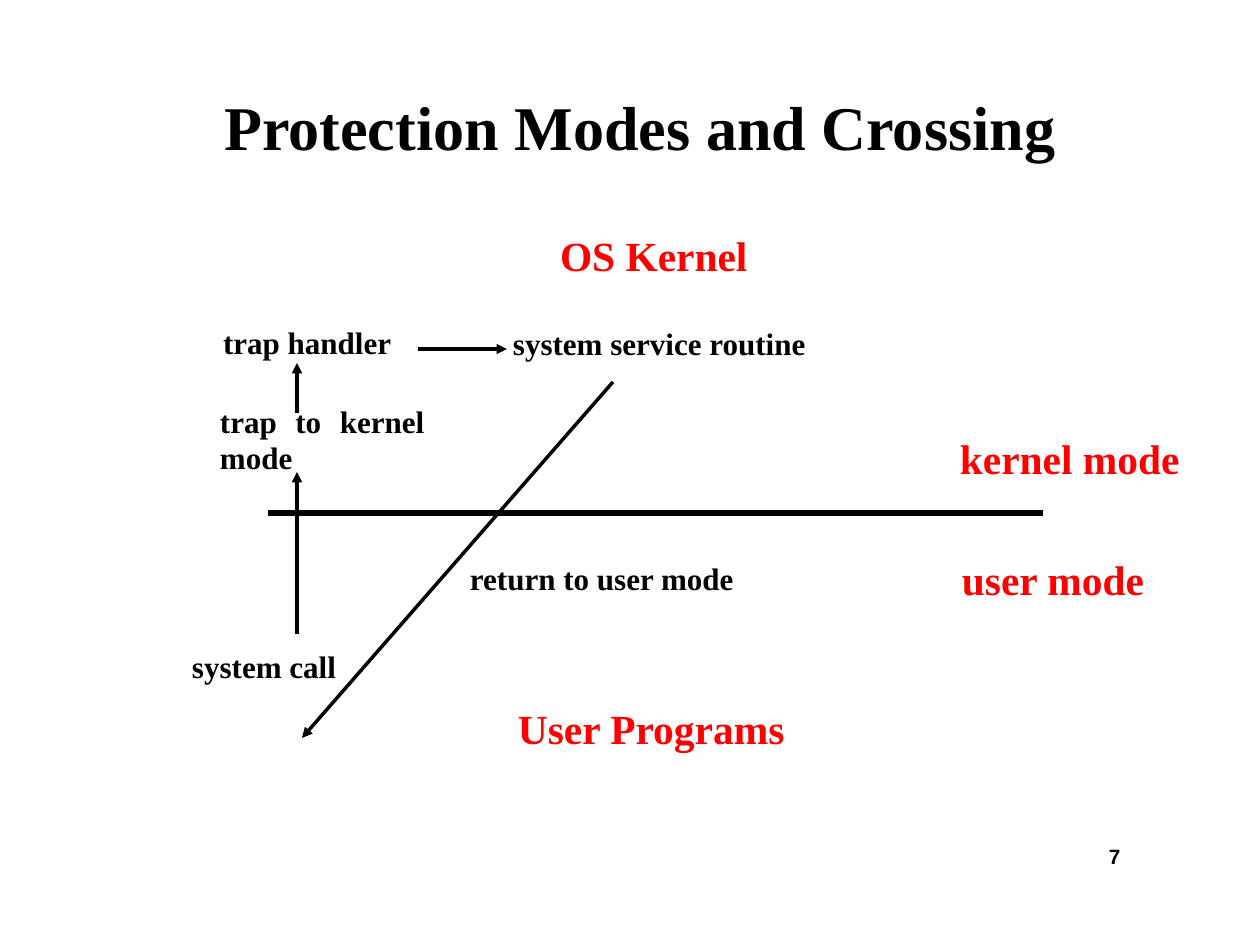
from dataclasses import dataclass

from lxml.etree import SubElement
from pptx import Presentation
from pptx.dml.color import RGBColor
from pptx.enum.shapes import MSO_CONNECTOR
from pptx.enum.text import MSO_ANCHOR, MSO_AUTO_SIZE, PP_ALIGN
from pptx.oxml.ns import qn
from pptx.util import Pt

SLIDE_W, SLIDE_H = 1260, 945
PX = Pt(730) / SLIDE_W  # EMU per px: the slide is 730 pt wide


@dataclass(frozen=True)
class Theme:
    ink: RGBColor = RGBColor(0, 0, 0)
    accent: RGBColor = RGBColor(255, 0, 0)
    serif: str = "Times New Roman"
    sans: str = "Arial"
    title: int = 36
    zone: int = 24
    step: int = 18
    number: int = 12
    arrow: int = 2
    boundary: int = 4


THEME = Theme()
LEADING = {THEME.title: 43, THEME.zone: 28, THEME.step: 21, THEME.number: 14}

# text, (left, top, width, height)
ZONES = [
    ("OS Kernel", (558, 227, 295, 72)),
    ("User Programs", (516, 700, 332, 72)),
    ("kernel mode", (958, 430, 258, 70)),
    ("user mode", (960, 551, 231, 70)),
]
STEPS = [
    ("system call", (190, 644, 199, 61)),
    ("trap to kernel \vmode", (218, 399, 227, 97)),
    ("trap handler", (221, 320, 225, 61)),
    ("system service routine", (511, 321, 352, 57)),
    ("return to user mode", (468, 556, 413, 57)),
]
# start, end
ARROWS = [
    ((297, 634), (297, 472)),
    ((297, 413), (297, 363)),
    ((418, 349), (507, 349)),
    ((613, 382), (302, 738)),
]


def px(*lengths):
    return [round(n * PX) for n in lengths]


def write(sp, text, size=THEME.step, color=THEME.ink, font=THEME.serif,
          align=PP_ALIGN.JUSTIFY, wrap=True):
    tf = sp.text_frame
    tf.auto_size = MSO_AUTO_SIZE.NONE
    tf.word_wrap = wrap
    tf.vertical_anchor = MSO_ANCHOR.TOP
    tf.margin_left, tf.margin_top, tf.margin_right, tf.margin_bottom = px(2, 4, 2, 4)
    p = tf.paragraphs[0]
    p.text = text
    p.alignment = align
    p.line_spacing = Pt(LEADING[size])
    p.space_before = Pt(0)
    for r in p.runs:
        r.font.name = font
        r.font.size = Pt(size)
        r.font.bold = True
        r.font.color.rgb = color


def add_title(slide, text, box):
    sp = slide.shapes.title
    sp.left, sp.top, sp.width, sp.height = px(*box)
    write(sp, text, size=THEME.title, align=PP_ALIGN.CENTER, wrap=False)


def add_label(slide, text, box, **fmt):
    write(slide.shapes.add_textbox(*px(*box)), text, **fmt)


def add_line(slide, start, end, width=THEME.arrow, arrow=True):
    line = slide.shapes.add_connector(MSO_CONNECTOR.STRAIGHT, *px(*start, *end))
    line.line.color.rgb = THEME.ink
    line.line.width = Pt(width)
    sp_pr = line._element.spPr
    if arrow:
        SubElement(sp_pr.find(qn("a:ln")), qn("a:tailEnd"), type="triangle")
    SubElement(sp_pr, qn("a:effectLst"))


def main():
    prs = Presentation()
    prs.slide_width, prs.slide_height = px(SLIDE_W, SLIDE_H)
    slide = prs.slides.add_slide(prs.slide_layouts[5])

    add_title(slide, "Protection Modes and Crossing", (216, 85, 848, 92))
    add_line(slide, (268, 513), (1043, 513), width=THEME.boundary, arrow=False)
    for start, end in ARROWS:
        add_line(slide, start, end)
    for text, box in ZONES:
        add_label(slide, text, box, size=THEME.zone, color=THEME.accent)
    for text, box in STEPS:
        add_label(slide, text, box)
    add_label(slide, "7", (1107, 841, 31, 41), size=THEME.number,
              font=THEME.sans, align=PP_ALIGN.LEFT)

    prs.save("out.pptx")


if __name__ == "__main__":
    main()
